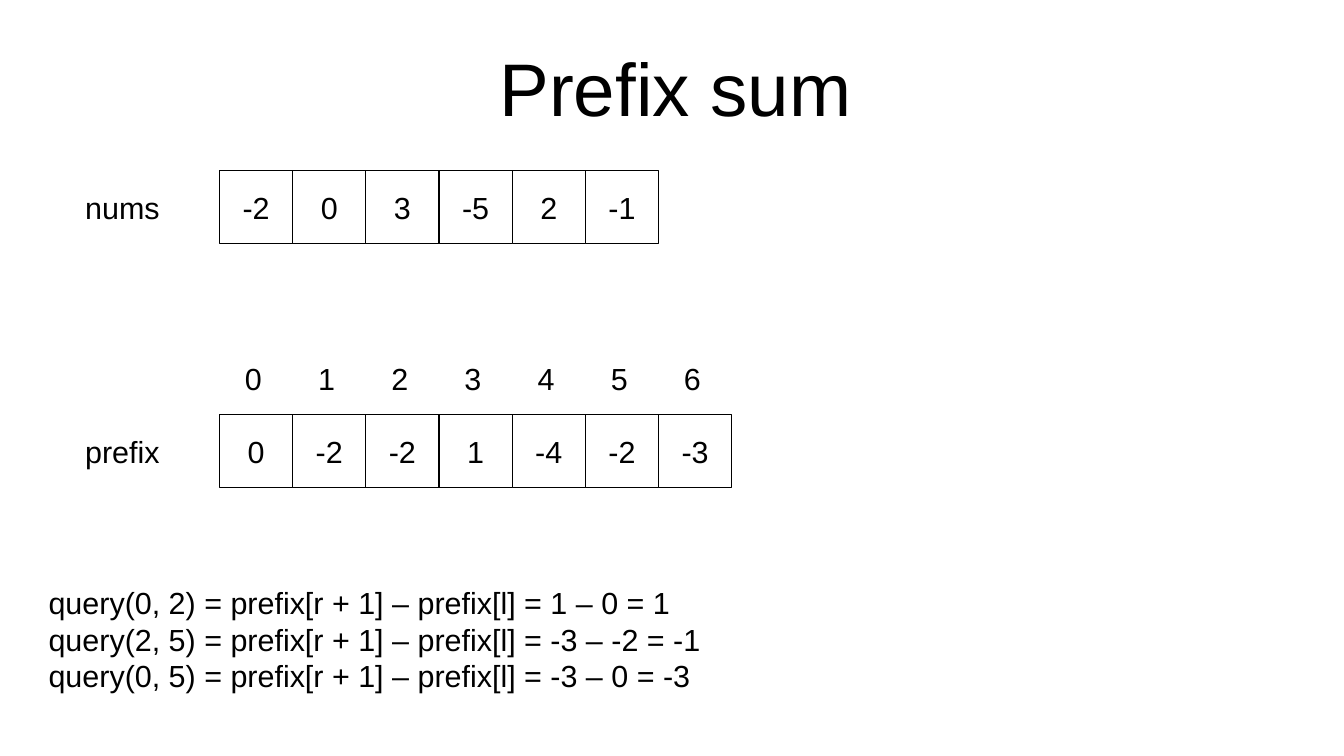
from dataclasses import dataclass

from pptx import Presentation
from pptx.dml.color import RGBColor
from pptx.enum.shapes import MSO_SHAPE
from pptx.enum.text import MSO_ANCHOR, PP_ALIGN
from pptx.util import Inches, Pt


@dataclass(frozen=True)
class Theme:
    """Colours, font and type sizes of the slide."""
    ink: RGBColor = RGBColor(0, 0, 0)
    paper: RGBColor = RGBColor(255, 255, 255)
    font: str = "Arial"
    title: int = 44
    body: int = 18
    rule: float = 0.75


THEME = Theme()
CELL = 0.6
LEFT = 1.8
MARK = 0.38
NUMS = [-2, 0, 3, -5, 2, -1]
PREFIX = [0, -2, -2, 1, -4, -2, -3]
QUERIES = [
    "query(0, 2) = prefix[r + 1] – prefix[l] = 1 – 0 = 1",
    "query(2, 5) = prefix[r + 1] – prefix[l] = -3 – -2 = -1",
    "query(0, 5) = prefix[r + 1] – prefix[l] = -3 – 0 = -3",
]


def write(frame, lines, size=THEME.body, align=PP_ALIGN.LEFT):
    """Fill a text frame with one paragraph per line."""
    frame.text = "\n".join(lines)
    for para in frame.paragraphs:
        para.alignment = align
        para.font.name = THEME.font
        para.font.size = Pt(size)
        para.font.color.rgb = THEME.ink


def add_text(slide, box, *lines):
    """Add a wrapped text box and return its frame."""
    frame = slide.shapes.add_textbox(*map(Inches, box)).text_frame
    frame.word_wrap = True
    write(frame, lines)
    return frame


def add_title(slide, text):
    """Add the centred slide title."""
    frame = add_text(slide, (0.58, 0.2, 9.92, 1.03), text)
    frame.margin_left = frame.margin_right = 0
    frame.margin_top = frame.margin_bottom = 0
    frame.vertical_anchor = MSO_ANCHOR.MIDDLE
    write(frame, [text], THEME.title, PP_ALIGN.CENTER)


def add_cell(slide, left, top, value):
    """Add one outlined square that holds a value."""
    box = map(Inches, (left, top, CELL, CELL))
    cell = slide.shapes.add_shape(MSO_SHAPE.RECTANGLE, *box)
    cell.shadow.inherit = False
    cell.fill.solid()
    cell.fill.fore_color.rgb = THEME.paper
    cell.line.color.rgb = THEME.ink
    cell.line.width = Pt(THEME.rule)
    frame = cell.text_frame
    frame.word_wrap = False
    frame.vertical_anchor = MSO_ANCHOR.MIDDLE
    write(frame, [str(value)], align=PP_ALIGN.CENTER)


def add_array(slide, top, name, values):
    """Add a named row of cells."""
    add_text(slide, (0.6, top + 0.1, 0.9, 0.4), name)
    for i, value in enumerate(values):
        add_cell(slide, LEFT + i * CELL, top, value)


def add_marks(slide, top, count):
    """Add index numbers centred over the columns."""
    start = LEFT + (CELL - MARK) / 2
    for i in range(count):
        add_text(slide, (start + i * CELL, top, MARK, MARK), str(i))


def main():
    """Build and save the slide."""
    deck = Presentation()
    deck.slide_width = Inches(11.02)
    deck.slide_height = Inches(6.2)
    slide = deck.slides.add_slide(deck.slide_layouts[6])
    add_title(slide, "Prefix sum")
    add_array(slide, 1.4, "nums", NUMS)
    add_marks(slide, 2.9, len(PREFIX))
    add_array(slide, 3.4, "prefix", PREFIX)
    add_text(slide, (0.3, 4.74, 10.4, 0.66), *QUERIES)
    deck.save("out.pptx")


if __name__ == "__main__":
    main()
